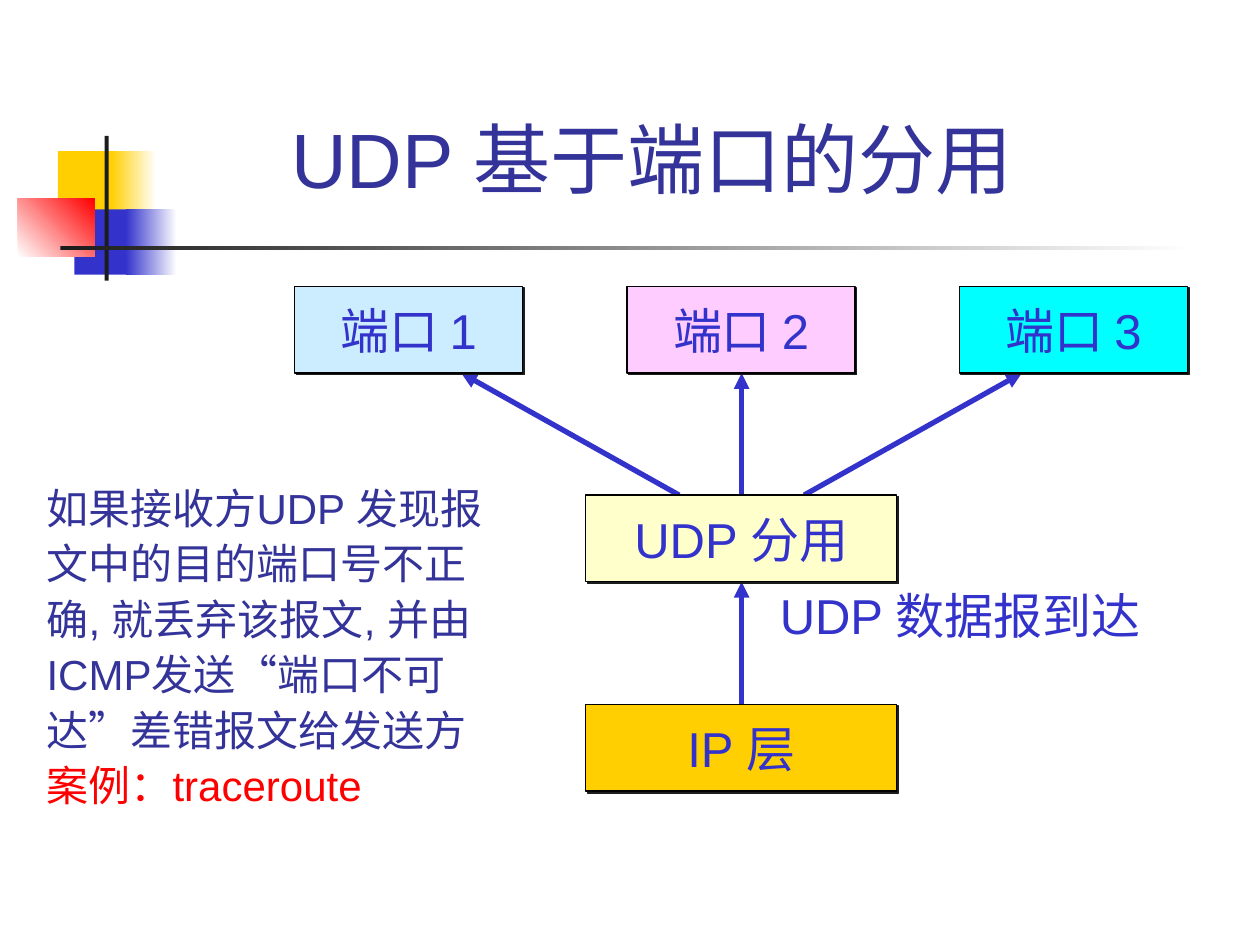
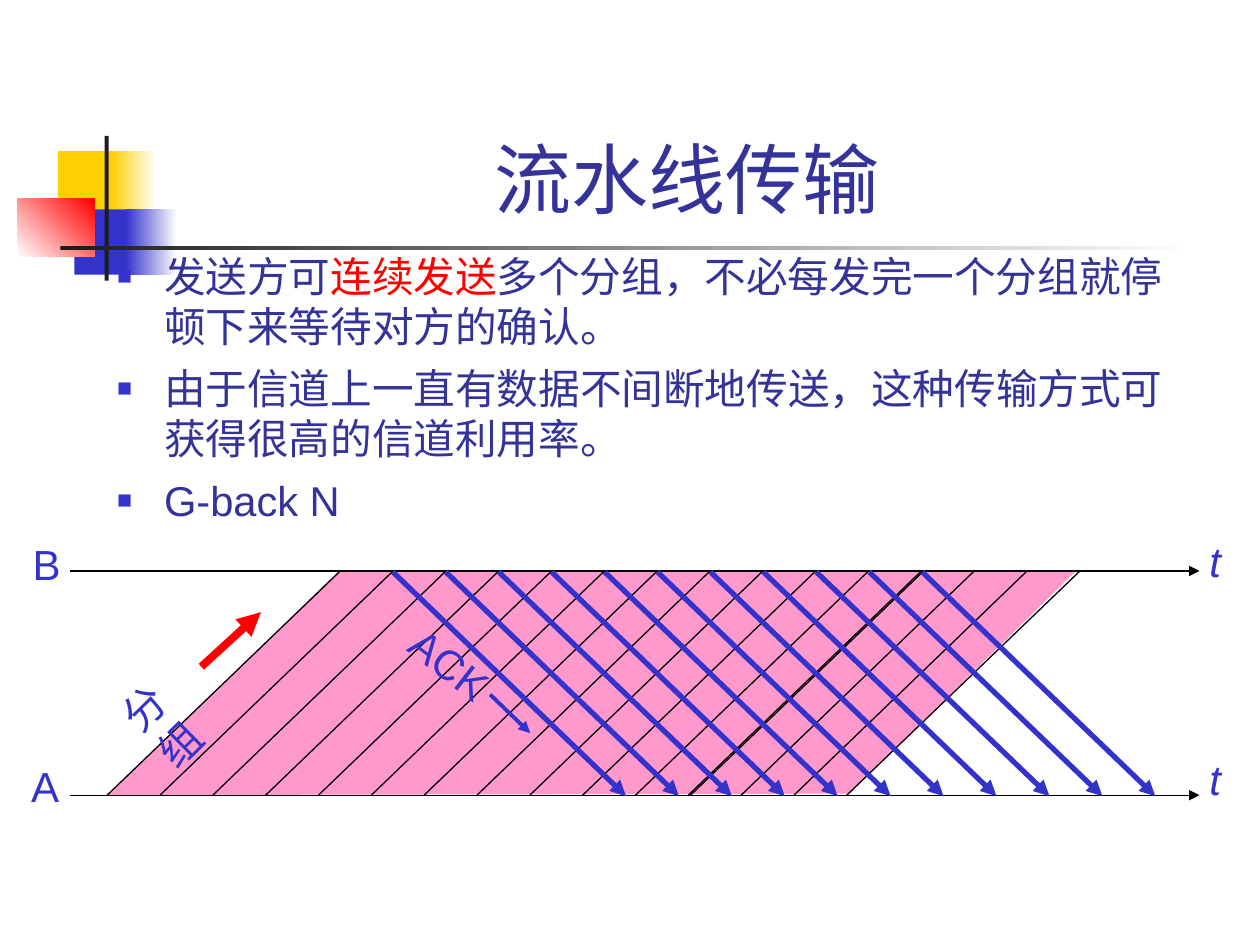
from pptx import Presentation
from pptx.dml.color import RGBColor
from pptx.enum.shapes import MSO_CONNECTOR as Link, MSO_SHAPE as Preset
from pptx.enum.text import MSO_ANCHOR as Anchor, PP_ALIGN as Align
from pptx.oxml import parse_xml
from pptx.oxml.ns import nsdecls, qn
from pptx.util import Cm, Pt

COLORS = {
    "title": "333399", "blue": "3333CC", "yellow": "FFCF01", "red": "FF0000",
    "ink": "1C1C1C", "black": "000000", "white": "FFFFFF", "cream": "FFFFCC",
    "sky": "CCECFF", "pink": "FFCCFF", "cyan": "00FFFF", "packet": "FF99CC",
}
TITLE = {"size": Pt(44), "name": "Arial"}
LABEL = {"size": Pt(28), "name": "Arial"}
BODY = {"size": Pt(24), "name": "Arial"}
BULLET = {"size": Pt(23.8), "name": "Arial"}
TIME = {**BODY, "italic": True}

ORNAMENTS = [
    ((1.17, 3.05, 1.22, 1.32), ("yellow",), 0),
    ((2.24, 3.05, 0.91, 1.32), ("yellow", "white"), 0),
    ((1.5, 4.22, 1.17, 1.32), ("blue",), 0),
    ((2.54, 4.22, 1.02, 1.32), ("blue", "white"), 0),
    ((0.36, 4.01, 1.55, 1.17), ("white", "red"), 45),
    ((2.11, 2.74, 0.08, 2.92), ("ink",), 0),
    ((1.22, 4.95, 22.86, 0.09), ("ink", "white"), 0),
]
BOX_HEIGHT = 1.75
CENTER = 14.95


def rgb(color):
    """Return the named colour."""
    return RGBColor.from_string(COLORS[color])


def lengths(values):
    """Turn centimetres into lengths."""
    return [Cm(value) for value in values]


def set_all(target, values):
    """Set each attribute in the dict on the target."""
    for name, value in values.items():
        setattr(target, name, value)


def paint(shape, colors, angle=0):
    """Fill a shape with one colour or a two-colour gradient."""
    if len(colors) == 1:
        shape.fill.solid()
        shape.fill.fore_color.rgb = rgb(colors[0])
        return
    shape.fill.gradient()
    shape.fill.gradient_angle = angle
    for stop, color in zip(shape.fill.gradient_stops, colors):
        stop.color.rgb = rgb(color)


def add_span(para, text, style, color):
    """Append a formatted run to a paragraph."""
    span = para.add_run()
    span.text = text
    set_all(span.font, style)
    span.font.color.rgb = rgb(color)


def add_page(deck, title, place):
    """Add a page with the shared ornaments and a title."""
    page = deck.slides.add_slide(deck.slide_layouts[5])
    for frame, colors, angle in ORNAMENTS:
        shape = page.shapes.add_shape(Preset.RECTANGLE, *lengths(frame))
        shape.shadow.inherit = False
        shape.line.fill.background()
        paint(shape, colors, angle)
    holder = page.shapes.title
    set_all(holder, dict(zip(("left", "top", "width", "height"), lengths(place))))
    holder.text_frame.vertical_anchor = Anchor.BOTTOM
    para = holder.text_frame.paragraphs[0]
    para.alignment = Align.CENTER
    add_span(para, title, TITLE, "title")
    return page


def add_text(page, place, paragraphs, style, wrap=True, rotation=0):
    """Add a text box from paragraphs of (text, colour) pairs."""
    box = page.shapes.add_textbox(*lengths(place))
    box.rotation = rotation
    frame = box.text_frame
    frame.word_wrap = wrap
    for index, spans in enumerate(paragraphs):
        para = frame.add_paragraph() if index else frame.paragraphs[0]
        for text, color in spans:
            add_span(para, text, style, color)
    return frame.paragraphs


def add_label(page, place, text, style=BODY, rotation=0):
    """Add a single-line blue label."""
    add_text(page, place, [[(text, "blue")]], style, False, rotation)


def add_box(page, left, top, width, text, color):
    """Add an outlined box with centred text and a hard shadow."""
    place = lengths((left, top, width, BOX_HEIGHT))
    box = page.shapes.add_shape(Preset.RECTANGLE, *place)
    paint(box, (color,))
    box.line.color.rgb = rgb("black")
    box.line.width = Pt(0.75)
    box.shadow.inherit = False
    effects = box.element.spPr.find(qn("a:effectLst"))
    effects.append(parse_xml(
        f'<a:outerShdw {nsdecls("a")} blurRad="0" dist="17960" dir="2700000">'
        f'<a:srgbClr val="{COLORS["ink"]}"/></a:outerShdw>'))
    set_all(box.text_frame, {"word_wrap": False, "vertical_anchor": Anchor.MIDDLE})
    para = box.text_frame.paragraphs[0]
    para.alignment = Align.CENTER
    add_span(para, text, LABEL, color="blue")


def add_line(page, start, end, color="black", width=0.75, arrow=True):
    """Add a straight line, with an arrowhead at its end by default."""
    line = page.shapes.add_connector(Link.STRAIGHT, *lengths((*start, *end)))
    line.line.color.rgb = rgb(color)
    line.line.width = Pt(width)
    properties = line.element.spPr
    if arrow:
        properties.find(qn("a:ln")).append(
            parse_xml(f'<a:tailEnd {nsdecls("a")} type="triangle"/>'))
    properties.append(parse_xml(f'<a:effectLst {nsdecls("a")}/>'))


def add_bullet(para):
    """Give a paragraph a square bullet and a hanging indent."""
    properties = para._p.get_or_add_pPr()
    properties.set("marL", str(Cm(0.95)))
    properties.set("indent", str(-Cm(0.95)))
    for tag in (f'buClr {nsdecls("a")}><a:srgbClr val="{COLORS["blue"]}"/></a:buClr',
                f'buSzPct {nsdecls("a")} val="60000"/',
                f'buFont {nsdecls("a")} typeface="Arial"/',
                f'buChar {nsdecls("a")} char="■"/'):
        properties.append(parse_xml(f"<a:{tag}>"))


def add_parallels(page, first, last, count, top, bottom, slant, **style):
    """Add evenly spaced slanted lines; first and last are start positions."""
    for index in range(count):
        left = first + (last - first) * index / (count - 1)
        add_line(page, (left, top), (left + slant, bottom), **style)


def add_outline(page, points, color):
    """Add a filled polygon without a border."""
    corners = [lengths(point) for point in points]
    builder = page.shapes.build_freeform(*corners[0], scale=1)
    builder.add_line_segments(corners[1:], close=True)
    shape = builder.convert_to_shape()
    shape.shadow.inherit = False
    shape.line.fill.background()
    paint(shape, (color,))


def build_demux_page(deck):
    """Build the page on UDP demultiplexing by port."""
    page = add_page(deck, "UDP 基于端口的分用 ", (3.28, 1.52, 20.09, 2.72))
    port_top, demux_top, ip_top = 5.77, 9.98, 14.2
    port_bottom, demux_bottom = port_top + BOX_HEIGHT, demux_top + BOX_HEIGHT
    arrow = {"color": "blue", "width": 3}
    add_line(page, (CENTER, ip_top), (CENTER, demux_bottom), **arrow)
    for index, color in enumerate(("sky", "pink", "cyan")):
        side = index - 1
        add_line(page, (CENTER + 1.26 * side, demux_top),
                 (CENTER + 5.65 * side, port_bottom), **arrow)
        add_box(page, 5.94 + 6.7 * index, port_top, 4.6, f"端口 {index + 1}", color)
    add_box(page, 11.81, demux_top, 6.27, "UDP 分用", "cream")
    add_box(page, 11.81, ip_top, 6.27, "IP 层", "yellow")
    add_label(page, (15.47, 11.68, 8.03, 1.45), "UDP 数据报到达", LABEL)
    note = ("如果接收方UDP 发现报文中的目的端口号不正确, 就丢弃该报文, "
            "并由ICMP发送“端口不可达”差错报文给发送方")
    paragraphs = [[(note, "title")], [("案例：traceroute", "red")]]
    for para in add_text(page, (0.69, 9.5, 9.63, 8.08), paragraphs, BODY):
        para.line_spacing = 1.1


def build_pipeline_page(deck):
    """Build the page on pipelined transmission."""
    page = add_page(deck, "流水线传输 ", (3.2, 0.58, 21.64, 4.06))
    points = [
        [("发送方可", "title"), ("连续发送", "red"),
         ("多个分组，不必每发完一个分组就停顿下来等待对方的确认。", "title")],
        [("由于信道上一直有数据不间断地传送，这种传输方式可获得很高的信道利用率。", "title")],
        [("G-back N", "title")],
    ]
    for index, para in enumerate(add_text(page, (2.11, 4.93, 22.38, 5.79), points, BULLET)):
        add_bullet(para)
        para.space_before = Pt(7 if index else 0)

    receiver, sender, slant = 11.51, 16.03, 4.7
    add_outline(page, [(2.18, sender), (6.83, receiver), (21.67, 11.53), (17.12, 16)],
                "packet")
    for height in (sender, receiver):
        add_line(page, (1.42, height), (24.18, height))
    add_parallels(page, 2.16, 17.07, 15, sender, receiver, slant, arrow=False)
    add_line(page, (13.92, sender), (13.92 + slant, receiver), arrow=False)
    add_parallels(page, 7.92, 18.59, 11, 11.53, 16.05, slant, color="blue", width=3)

    add_label(page, (0.41, 10.74, 1.07, 1.27), "B")
    add_label(page, (0.38, 15.21, 1.07, 1.27), "A")
    for top in (10.67, 15.06):
        add_label(page, (24.13, top, 0.74, 1.27), "t", TIME)
    add_label(page, (2.11, 13.34, 2.18, 1.27), "分组", rotation=315.3)
    add_label(page, (7.95, 12.75, 2.24, 1.27), "ACK", rotation=37.8)
    add_line(page, (4.06, 13.44), (5.26, 12.34), "red", 4.5)
    add_line(page, (9.88, 14), (10.69, 14.78), "blue", 2.25)


def main():
    """Build and save the deck."""
    deck = Presentation()
    set_all(deck, {"slide_width": Cm(25.4), "slide_height": Cm(19.05)})
    build_demux_page(deck)
    build_pipeline_page(deck)
    deck.save("out.pptx")


if __name__ == "__main__":
    main()
